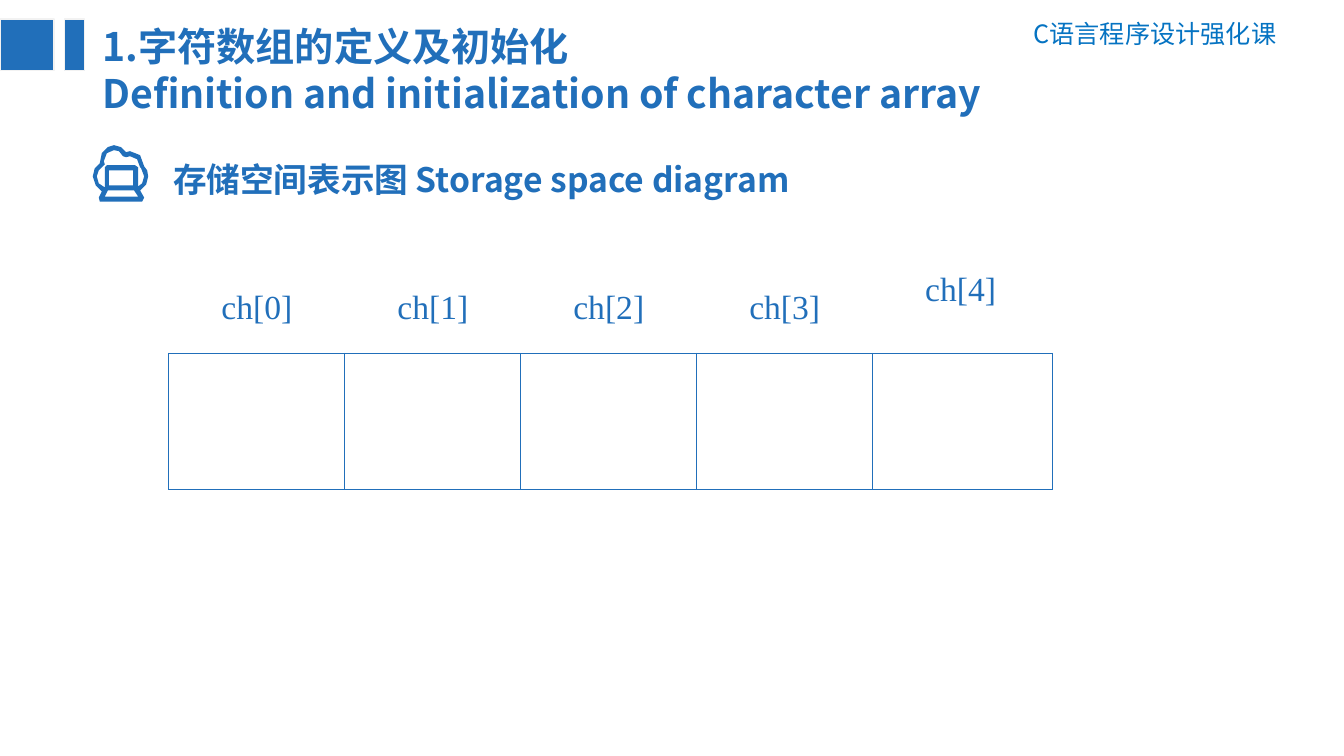
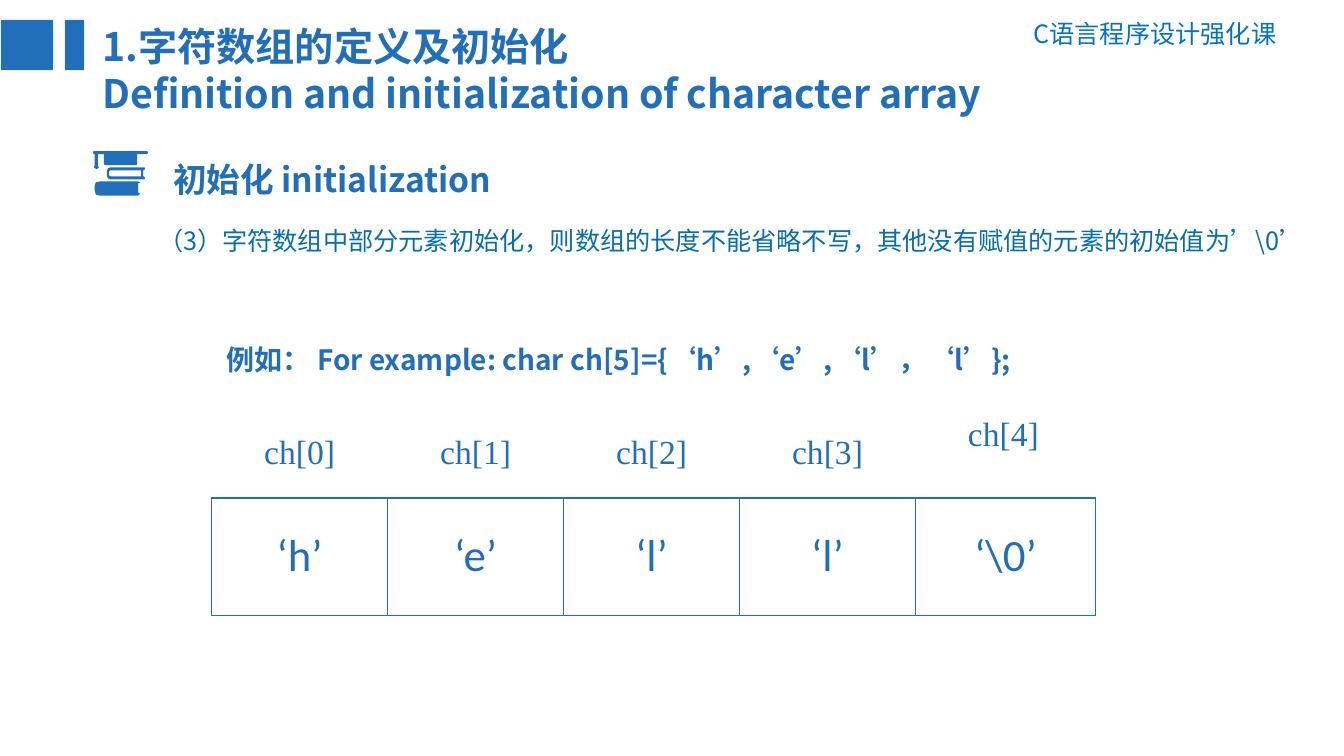
from lxml import etree
from pptx import Presentation
from pptx.dml.color import RGBColor
from pptx.enum.shapes import MSO_SHAPE
from pptx.enum.text import MSO_ANCHOR, PP_ALIGN
from pptx.oxml.ns import qn
from pptx.util import Pt

BLUE = RGBColor(0x21, 0x6F, 0xBA)
COURSE_BLUE = RGBColor(0x05, 0x73, 0xC2)
NOTE_BLUE = RGBColor(0x07, 0x6E, 0xAD)
EDGE_GREY = RGBColor(0xF2, 0xF2, 0xF2)
SANS, SERIF, CELL_FONT = "Noto Sans CJK SC", "Times New Roman", "Calibri"
LEFT, CENTER, RIGHT = PP_ALIGN.LEFT, PP_ALIGN.CENTER, PP_ALIGN.RIGHT
MIDDLE, RECTANGLE = MSO_ANCHOR.MIDDLE, MSO_SHAPE.RECTANGLE

COURSE = "C语言程序设计强化课"
TITLE = ("1.字符数组的定义及初始化",
         "Definition and initialization of character array")
COLUMN_WIDTHS = [125.7] * 4 + [128.6]
LABEL_HEIGHT = 64.3
ICON_UNIT = 0.72   # icon grid step in points

# Icon outlines: corner points on the icon grid
CLOUD_ICON = (
    "104 195, 107 189, 133 189, 137 195",
    "96 175, 98 169, 102 165, 104 163, 103 160, 106 152, 113 149, "
    "118 150, 122 155, 125 156, 129 155, 136 158, 139 166, 140 167, "
    "143 175, 141 182, 137 185, 137 166, 134 164, 106 164, 104 166, "
    "104 186, 98 182",
    "132 184, 108 184, 108 169, 132 169",
    "139 189, 145 183, 147 175, 146 169, 143 165, 139 154, 129 150, "
    "125 151, 120 146, 113 144, 107 146, 101 152, 99 162, 94 167, "
    "92 175, 95 184, 101 190, 98 196, 99 200, 141 200, 143 196",
)
BOOKS_ICON = (
    "139 192, 137 194, 99 194, 95 193, 94 189, 94 184, 95 181, 99 180, "
    "137 180, 139 181, 137 182, 137 191",
    "144 177, 143 178, 110 178, 107 177, 106 174, 106 170, 107 167, "
    "110 166, 143 166, 144 167, 143 169, 142 169, 142 175, 143 175",
    "110 175, 140 175, 140 169, 110 169, 108 170, 108 174",
    "146 150, 93 150, 92 151, 93 153, 94 153, 94 164, 93 166, 96 168, "
    "98 166, 97 164, 97 153, 103 153, 103 163, 105 164, 135 164, "
    "136 163, 136 153, 146 153, 147 151",
)


def outline_points(outline):
    """Turn one outline into slide points."""
    return [tuple(Pt(int(n) * ICON_UNIT) for n in corner.split())
            for corner in outline.split(",")]


class Deck:
    def __init__(self):
        self.prs = Presentation()
        self.prs.slide_width, self.prs.slide_height = Pt(960), Pt(540)
        self.s = None

    def add_slide(self, heading, icon):
        """Start a slide with the shared header, its heading and its icon."""
        self.s = self.prs.slides.add_slide(self.prs.slide_layouts[6])
        self.text(702.7, 9.6, 216, 28.8, [COURSE], 18, COURSE_BLUE,
                  align=RIGHT)
        self.text(66.2, 12.2, 733, 73, TITLE, 28, bold=True)
        for x, w in ((0, 38.6), (46.1, 14.4)):
            self.bar(x, 13.7, w, 36.7)
        self.text(116.6, 104.4, 789, 39, [heading], 24, bold=True,
                  spacing=1.2)
        self.icon(icon)

    def run(self, p, text, size, color=BLUE, font=SANS, bold=False):
        r = p.add_run()
        r.text = text
        r.font.size, r.font.bold, r.font.name = Pt(size), bold, font
        r.font.color.rgb = color
        ea = etree.SubElement(r.font._element, qn("a:ea"))
        ea.set("typeface", font)

    def text(self, x, y, w, h, lines, size, color=BLUE, bold=False,
             align=LEFT, spacing=1.0):
        sp = self.s.shapes.add_textbox(Pt(x), Pt(y), Pt(w), Pt(h))
        tf = sp.text_frame
        tf.word_wrap = True
        for i, line in enumerate(lines):
            p = tf.add_paragraph() if i else tf.paragraphs[0]
            p.alignment, p.line_spacing = align, spacing
            self.run(p, line, size, color, bold=bold)

    def bar(self, x, y, w, h):
        sp = self.s.shapes.add_shape(RECTANGLE, Pt(x), Pt(y), Pt(w), Pt(h))
        self.fill(sp)
        sp.line.color.rgb = EDGE_GREY
        sp.line.width = Pt(1)

    def fill(self, sp):
        sp.shadow.inherit = False
        sp.fill.solid()
        sp.fill.fore_color.rgb = BLUE

    def icon(self, outlines):
        first, *rest = [outline_points(o) for o in outlines]
        builder = self.s.shapes.build_freeform(*first[0])
        builder.add_line_segments(first[1:], close=True)
        for pts in rest:
            builder.move_to(*pts[0])
            builder.add_line_segments(pts[1:], close=True)
        sp = builder.convert_to_shape()
        self.fill(sp)
        sp.line.fill.background()

    def borders(self, cell, sides):
        """Draw the named sides of a cell; the other sides stay empty."""
        tcPr = cell._tc.get_or_add_tcPr()
        for i, side in enumerate("LRTB"):
            ln = etree.Element(qn(f"a:ln{side}"), w=str(Pt(1)))
            if side in sides:
                fill = etree.SubElement(ln, qn("a:solidFill"))
                etree.SubElement(fill, qn("a:srgbClr"), val=str(BLUE))
            else:
                etree.SubElement(ln, qn("a:noFill"))
            tcPr.insert(i, ln)

    def array_table(self, x, y, value_height, values):
        """Draw index labels above a row of boxes holding the values."""
        heights = (LABEL_HEIGHT, value_height)
        frame = self.s.shapes.add_table(2, len(values), Pt(x), Pt(y),
                                        Pt(sum(COLUMN_WIDTHS)),
                                        Pt(sum(heights)))
        tbl = frame.table
        tbl.first_row = tbl.horz_banding = False
        for row, h in zip(tbl.rows, heights):
            row.height = Pt(h)
        for i, (w, value) in enumerate(zip(COLUMN_WIDTHS, values)):
            tbl.columns[i].width = Pt(w)
            label, box = tbl.cell(0, i), tbl.cell(1, i)
            for cell, sides in ((label, "B"), (box, "LRTB")):
                cell.fill.background()
                cell.vertical_anchor = MIDDLE
                self.borders(cell, sides)
                cell.text_frame.paragraphs[0].alignment = CENTER
            p = label.text_frame.paragraphs[0]
            self.run(p, f"ch[{i}]", 24, font=SERIF)
            if value:
                p = box.text_frame.paragraphs[0]
                p.line_spacing, p.space_before = 0.9, Pt(10)
                self.run(p, value, 32, font=CELL_FONT)
        # The last label sits higher and starts from the left
        label.text_frame.paragraphs[0].alignment = LEFT
        label.margin_left, label.margin_bottom = Pt(37.5), Pt(29.3)


def main():
    deck = Deck()

    # Slide 1: empty storage
    deck.add_slide("存储空间表示图 Storage space diagram", CLOUD_ICON)
    deck.array_table(120.6, 188.1, 97.2, [""] * 5)

    # Slide 2: partial initialization
    deck.add_slide("初始化 initialization", BOOKS_ICON)
    deck.text(105.8, 153.4, 887, 31, [
        "（3）字符数组中部分元素初始化，则数组的长度不能省略不写，"
        "其他没有赋值的元素的初始值为’\\0’"], 18, NOTE_BLUE, spacing=1.2)
    deck.text(154.8, 236.2, 712.8, 33.8, [
        "例如： For example: char ch[5]={‘h’,‘e’,‘l’，‘l’};"],
        20, bold=True, spacing=1.2)
    deck.array_table(151.2, 291.4, 84.2, ["‘h’", "‘e’", "‘l’", "‘l’", "‘\\0’"])

    deck.prs.save("out.pptx")


if __name__ == "__main__":
    main()
